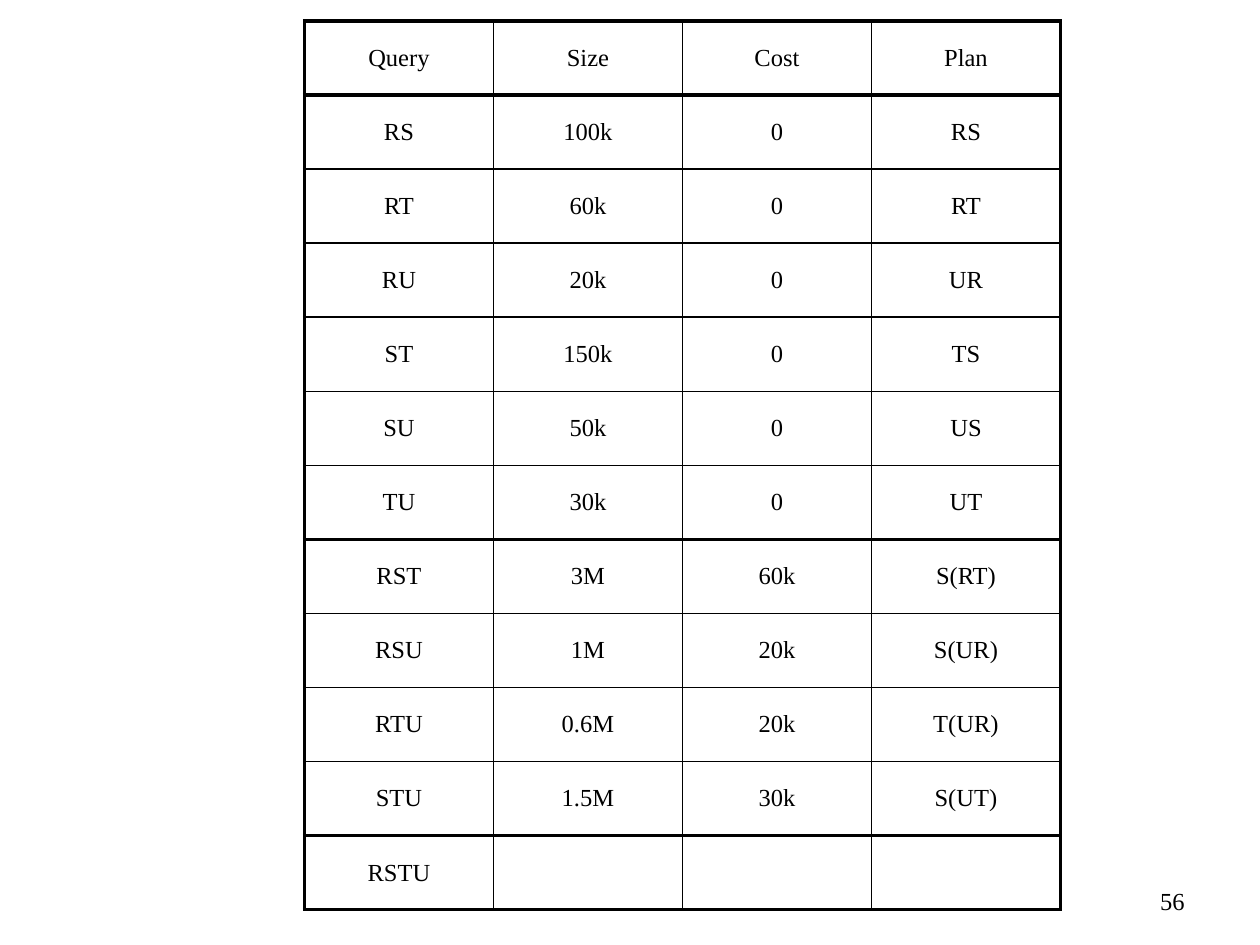
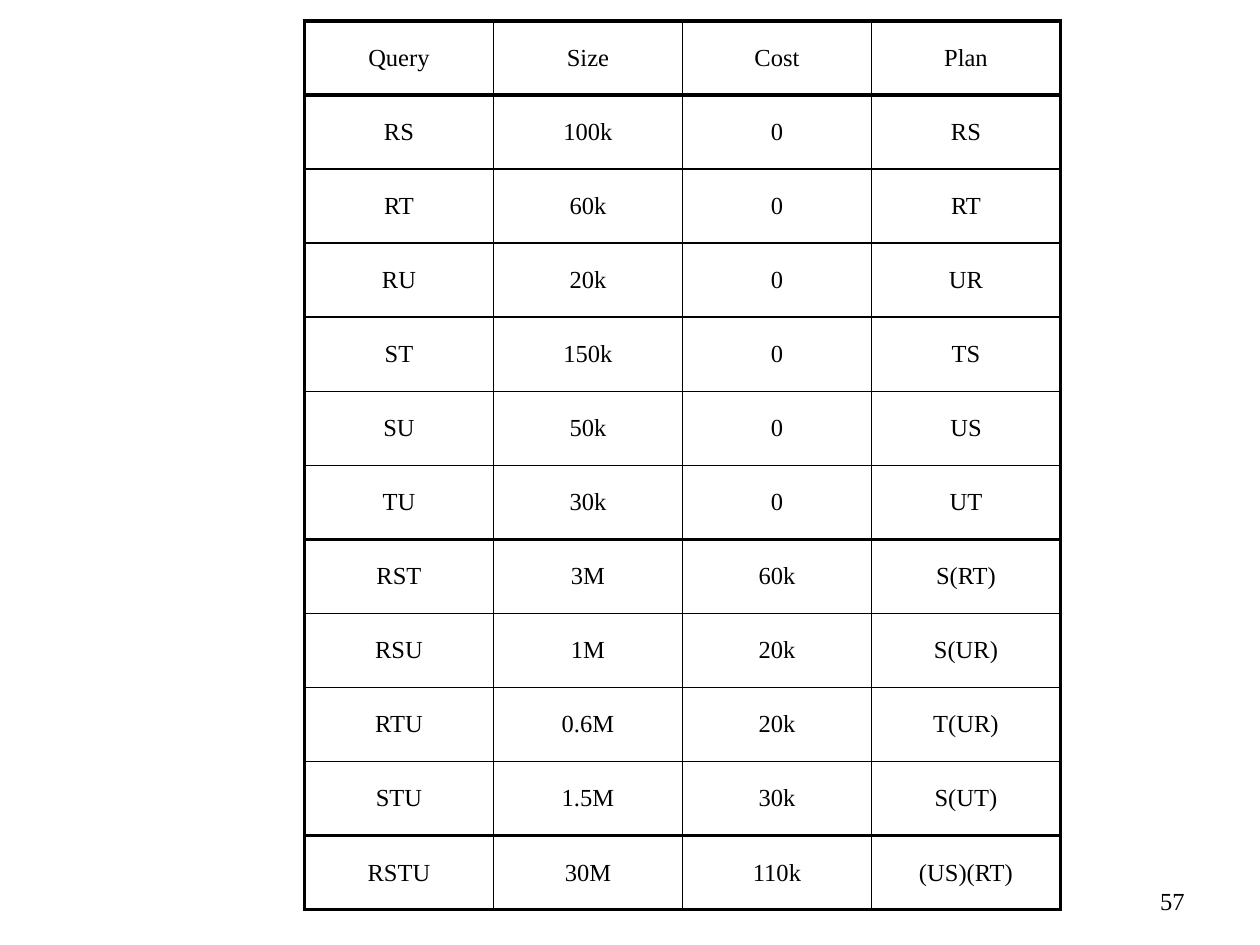
import pptx
import pptx.dml.color
import pptx.enum.text
import pptx.oxml.ns
import pptx.util
from lxml import etree

Pt = pptx.util.Pt
ALIGN = pptx.enum.text.PP_ALIGN
MIDDLE = pptx.enum.text.MSO_ANCHOR.MIDDLE

COLORS = {"ink": "000000"}
FONT = "Times New Roman"
FONT_SIZE = 14
THIN, THICK = 1, 2.25

# Boxes: left, top, width, height in points
TABLE_BOX = (174, 12, 432, 508)
NUMBER_BOX = (516, 500, 168, 29)

HEADER = ("Query", "Size", "Cost", "Plan")
PAIRS = [
    ("RS", "100k", "0", "RS"),
    ("RT", "60k", "0", "RT"),
    ("RU", "20k", "0", "UR"),
    ("ST", "150k", "0", "TS"),
    ("SU", "50k", "0", "US"),
    ("TU", "30k", "0", "UT"),
]
TRIPLES = [
    ("RST", "3M", "60k", "S(RT)"),
    ("RSU", "1M", "20k", "S(UR)"),
    ("RTU", "0.6M", "20k", "T(UR)"),
    ("STU", "1.5M", "30k", "S(UT)"),
]
# Slide number and the row for the full join
SLIDES = [
    (56, ("RSTU", "", "", "")),
    (57, ("RSTU", "30M", "110k", "(US)(RT)")),
]


def write(tf, text, align):
    tf.text = text
    p = tf.paragraphs[0]
    p.alignment = align
    for r in p.runs:
        r.font.name = FONT
        r.font.size = Pt(FONT_SIZE)
        r.font.color.rgb = pptx.dml.color.RGBColor.from_string(COLORS["ink"])
    return p


def set_borders(cell, left, right, top, bottom):
    """Draw the four cell edges with the given widths in points."""
    qn = pptx.oxml.ns.qn
    tc_pr = cell._tc.get_or_add_tcPr()
    widths = {"a:lnL": left, "a:lnR": right, "a:lnT": top, "a:lnB": bottom}
    for tag, width in widths.items():
        ln = etree.SubElement(tc_pr, qn(tag), w=str(Pt(width)))
        fill = etree.SubElement(ln, qn("a:solidFill"))
        etree.SubElement(fill, qn("a:srgbClr"), val=COLORS["ink"])


def add_plan_table(s, box, groups):
    """Add a table whose row groups are set apart by thick rules."""
    left, top, width, height = box
    rows = [row for group in groups for row in group]
    n_rows, n_cols = len(rows), len(rows[0])

    thick_rules = {0}
    for group in groups:
        thick_rules.add(max(thick_rules) + len(group))
    across = [THICK if i in thick_rules else THIN for i in range(n_rows + 1)]
    down = [THICK if i in (0, n_cols) else THIN for i in range(n_cols + 1)]

    table = s.shapes.add_table(n_rows, n_cols, Pt(left), Pt(top),
                               Pt(width), Pt(height)).table
    table.first_row = False
    table.horz_banding = False
    for i, row in enumerate(rows):
        for j, text in enumerate(row):
            cell = table.cell(i, j)
            cell.vertical_anchor = MIDDLE
            p = write(cell.text_frame, text, ALIGN.CENTER)
            p.space_before = Pt(0.2 * FONT_SIZE)
            set_borders(cell, down[j], down[j + 1], across[i], across[i + 1])
            cell.fill.background()


def add_slide_number(s, box, number):
    tf = s.shapes.add_textbox(*map(Pt, box)).text_frame
    tf.word_wrap = True
    tf.vertical_anchor = MIDDLE
    write(tf, str(number), ALIGN.RIGHT)


def main():
    prs = pptx.Presentation()
    prs.slide_width, prs.slide_height = Pt(720), Pt(540)
    blank = prs.slide_layouts[6]
    for number, full_join in SLIDES:
        s = prs.slides.add_slide(blank)
        add_slide_number(s, NUMBER_BOX, number)
        add_plan_table(s, TABLE_BOX, [[HEADER], PAIRS, TRIPLES, [full_join]])
    prs.save("out.pptx")


if __name__ == "__main__":
    main()
